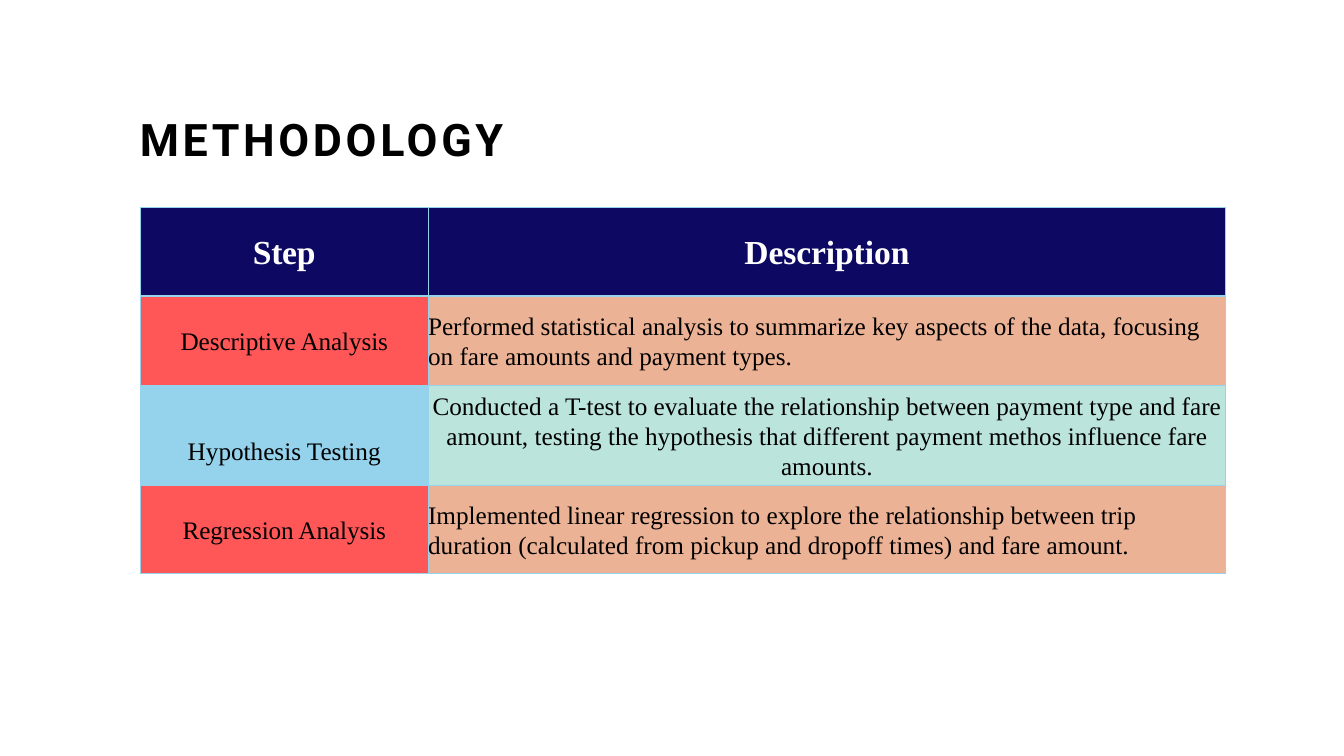
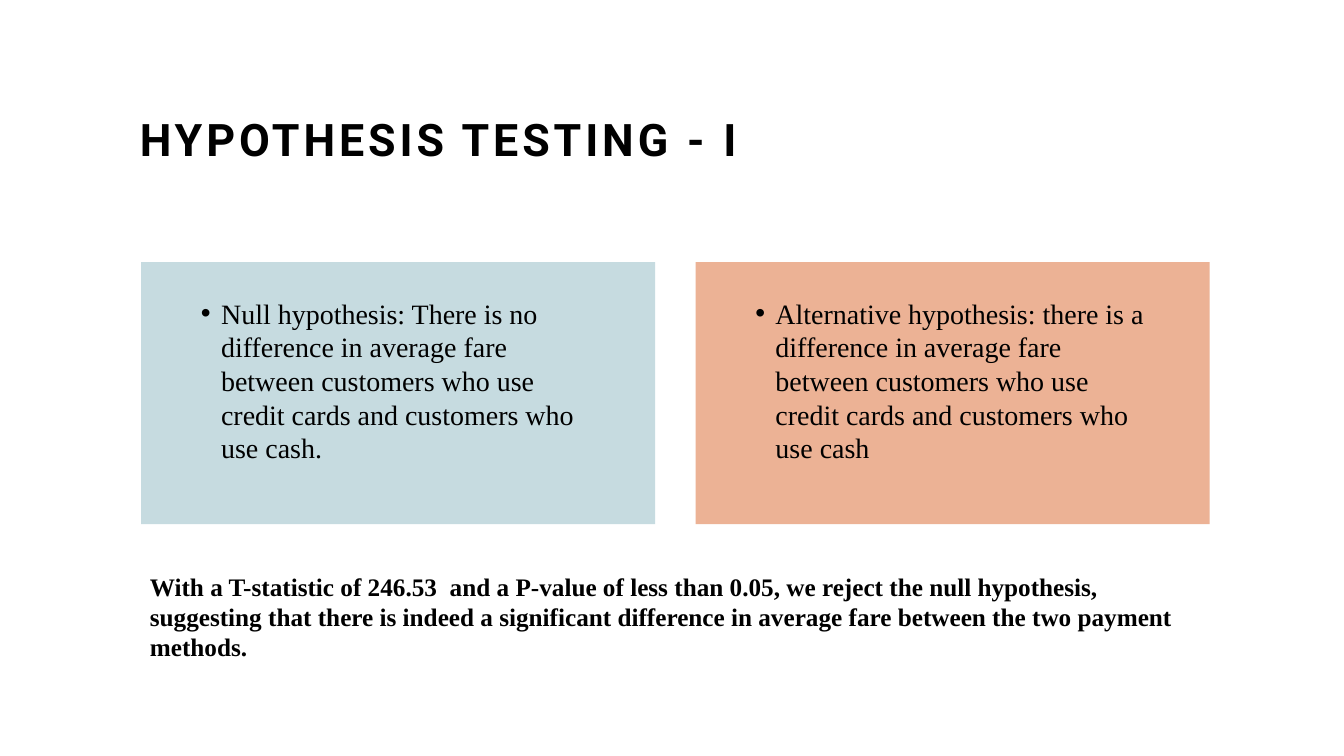
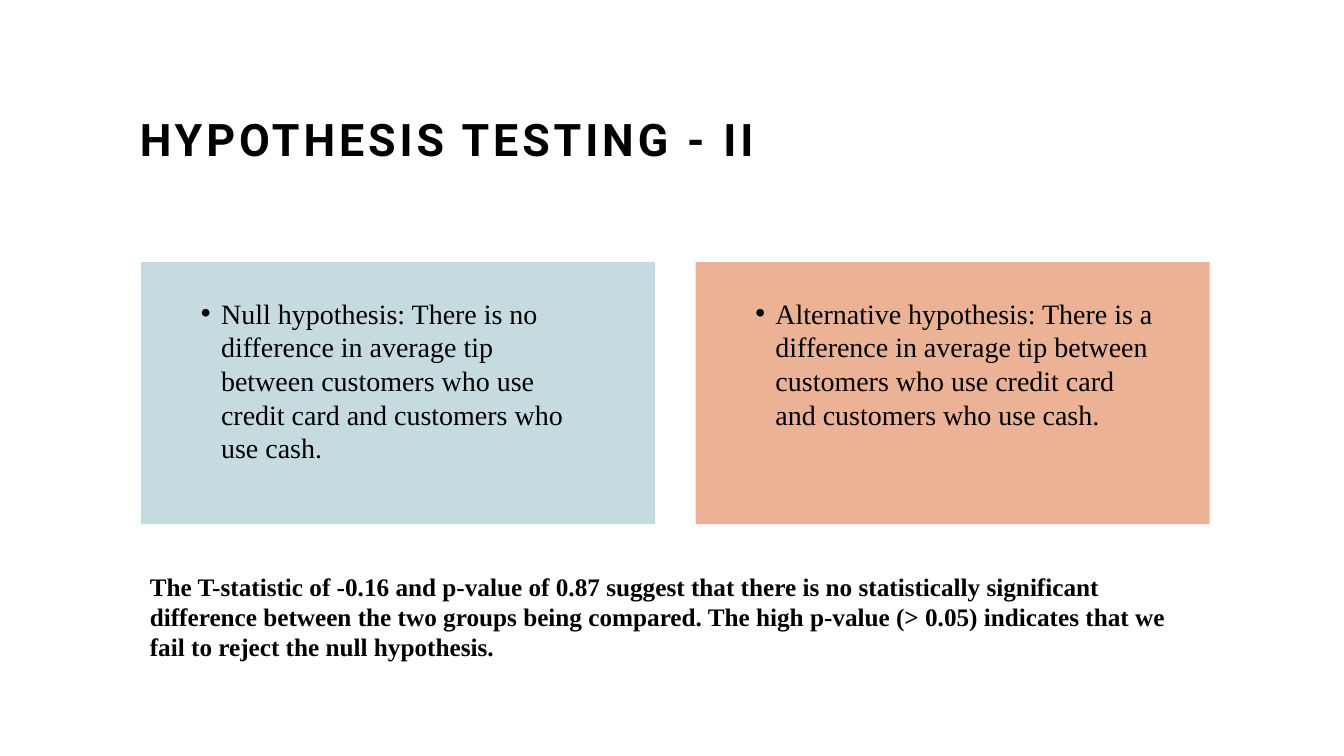
from lxml import etree
from pptx import Presentation
from pptx import util as u
from pptx.dml.color import RGBColor
from pptx.enum import shapes, text
from pptx.oxml import ns

PX = 9144  # EMU in one px, 100 px to the inch

BLACK = RGBColor(0x00, 0x00, 0x00)
WHITE = RGBColor(0xFE, 0xFE, 0xFE)
NAVY = RGBColor(0x0D, 0x09, 0x63)
RED = RGBColor(0xFF, 0x57, 0x57)
SKY = RGBColor(0x95, 0xD2, 0xEC)
MINT = RGBColor(0xBB, 0xE4, 0xDD)
PEACH = RGBColor(0xEC, 0xB2, 0x95)
PALE_BLUE = RGBColor(0xC6, 0xDB, 0xE0)

LEFT, CENTER = text.PP_ALIGN.LEFT, text.PP_ALIGN.CENTER
SERIF = "Times New Roman"
TITLE = {"name": "Roboto", "size": u.Pt(48), "bold": True}
HEAD = {"name": SERIF, "size": u.Pt(36), "bold": True}
BODY = {"name": SERIF, "size": u.Pt(27), "bold": False}
BULLET = {"name": SERIF, "size": u.Pt(30), "bold": False}
FINDING = {**BODY, "bold": True}

FRAME = {
    "margin_left": 0, "margin_top": 0, "margin_right": 0, "margin_bottom": 0,
    "word_wrap": True, "vertical_anchor": text.MSO_ANCHOR.TOP,
    "auto_size": text.MSO_AUTO_SIZE.SHAPE_TO_FIT_TEXT,
}
CELL = {
    "margin_left": 0, "margin_top": 0, "margin_right": 0, "margin_bottom": 0,
    "vertical_anchor": text.MSO_ANCHOR.MIDDLE,
}


def assign(target, values):
    for name, value in values.items():
        setattr(target, name, value)


class Deck:
    """Holds the shared style and the slide being built."""

    def __init__(self):
        self.prs = Presentation()
        self.prs.slide_width, self.prs.slide_height = self.px(2000, 1125)
        self.s = None

    def px(self, *lengths):
        return [u.Emu(n * PX) for n in lengths]

    def paragraph(self, tf, words, font, color=BLACK, align=LEFT, spacing=0):
        """Fill the first paragraph; lines are 1.2 times the font size."""
        p = tf.paragraphs[0]
        p.alignment = align
        p.line_spacing = u.Pt(font["size"].pt * 1.2)
        r = p.add_run()
        r.text = words
        assign(r.font, font)
        r.font.color.rgb = color
        if spacing:
            r._r.get_or_add_rPr().set("spc", str(round(spacing * 100)))
        return p

    def slide(self, title, spacing):
        self.s = self.prs.slides.add_slide(self.prs.slide_layouts[5])
        sp = self.s.shapes.title
        sp.left, sp.top, sp.width, sp.height = self.px(208, 166, 1584, 80)
        assign(sp.text_frame, FRAME)
        self.paragraph(sp.text_frame, title, TITLE, spacing=spacing)

    def panel(self, x, y, w, h, color):
        sp = self.s.shapes.add_shape(shapes.MSO_SHAPE.RECTANGLE, *self.px(x, y, w, h))
        sp.shadow.inherit = False
        sp.fill.solid()
        sp.fill.fore_color.rgb = color
        sp.line.fill.background()

    def label(self, x, y, w, h, words, font):
        tf = self.s.shapes.add_textbox(*self.px(x, y, w, h)).text_frame
        assign(tf, FRAME)
        return self.paragraph(tf, words, font)

    def bullet(self, x, y, w, h, words):
        pPr = self.label(x, y, w, h, words, BULLET)._p.get_or_add_pPr()
        indent, hanging = self.px(59, -30)
        pPr.set("marL", str(indent))
        pPr.set("indent", str(hanging))
        etree.SubElement(pPr, ns.qn("a:buFont")).set("typeface", "Arial")
        etree.SubElement(pPr, ns.qn("a:buChar")).set("char", "•")

    def table(self, x, y, cols, rows):
        w, h = sum(cols), sum(rows)
        tb = self.s.shapes.add_table(len(rows), len(cols), *self.px(x, y, w, h)).table
        for col, width in zip(tb.columns, self.px(*cols)):
            col.width = width
        for row, height in zip(tb.rows, self.px(*rows)):
            row.height = height
        return tb

    def cell(self, cell, words, font, fill, borders, **style):
        assign(cell, CELL)
        self.paragraph(cell.text_frame, words, font, **style)
        tcPr = cell._tc.get_or_add_tcPr()
        for side, width in zip("LRTB", borders):
            ln = etree.SubElement(tcPr, ns.qn(f"a:ln{side}"), w=str(u.Pt(width)))
            solid = etree.SubElement(ln, ns.qn("a:solidFill"))
            etree.SubElement(solid, ns.qn("a:srgbClr"), val=str(SKY))
        cell.fill.solid()
        cell.fill.fore_color.rgb = fill


def methodology(deck):
    deck.slide("METHODOLOGY", 3.9)
    tb = deck.table(209, 308, [428, 1187], [133, 133, 149, 131])

    # Header row
    for col, (words, spacing) in enumerate([("Step", -0.3), ("Description", -0.1)]):
        deck.cell(tb.cell(0, col), words, HEAD, NAVY, (1, 1, 1, 2.25),
                  color=WHITE, align=CENTER, spacing=spacing)

    # One row for each step
    steps = [
        ("Descriptive Analysis", RED, -0.1,
         "Performed statistical analysis to summarize key aspects of the data, "
         "focusing on fare amounts and payment types.", PEACH, LEFT),
        ("Hypothesis Testing", SKY, 0,
         "Conducted a T-test to evaluate the relationship between payment type and "
         "fare amount, testing the hypothesis that different payment methos "
         "influence fare amounts.", MINT, CENTER),
        ("Regression Analysis", RED, -0.1,
         "Implemented linear regression to explore the relationship between trip "
         "duration (calculated from pickup and dropoff times) and fare amount.",
         PEACH, LEFT),
    ]
    for row, (step, color, spacing, description, fill, align) in enumerate(steps, 1):
        borders = (1, 1, 2.25 if row == 1 else 1, 1)
        deck.cell(tb.cell(row, 0), step, BODY, color, borders,
                  align=CENTER, spacing=spacing)
        deck.cell(tb.cell(row, 1), description, BODY, fill, borders, align=align)
    tb.cell(2, 0).margin_top = deck.px(45)[0]  # name sits one line lower


def hypothesis(deck, title, null, alternative, finding):
    deck.slide(title, 4.2)

    # Two panels, each with its hypothesis
    panels = [(null, PALE_BLUE, 602), (alternative, PEACH, 624)]
    for i, (words, color, width) in enumerate(panels):
        x = 210 + i * 825
        deck.panel(x, 390, 765, 390, color)
        deck.bullet(x + 60, 441, width, 260, words)

    # Result of the test
    deck.label(223, 850, 1562, 146, finding, FINDING)


def main():
    deck = Deck()
    methodology(deck)
    hypothesis(
        deck, "HYPOTHESIS TESTING - I",
        "Null hypothesis: There is no difference in average fare between customers "
        "who use credit cards and customers who use cash.",
        "Alternative hypothesis: there is a difference in average fare between "
        "customers who use credit cards and customers who use cash",
        "With a T-statistic of 246.53  and a P-value of less than 0.05, we reject the "
        "null hypothesis, suggesting that there is indeed a significant difference in "
        "average fare between the two payment methods.")
    hypothesis(
        deck, "HYPOTHESIS TESTING - II",
        "Null hypothesis: There is no difference in average tip between customers "
        "who use credit card and customers who use cash.",
        "Alternative hypothesis: There is a difference in average tip between "
        "customers who use credit card and customers who use cash.",
        "The T-statistic of -0.16 and p-value of 0.87 suggest that there is no "
        "statistically significant difference between the two groups being compared. "
        "The high p-value (> 0.05) indicates that we fail to reject the null "
        "hypothesis.")
    deck.prs.save("out.pptx")


if __name__ == "__main__":
    main()
